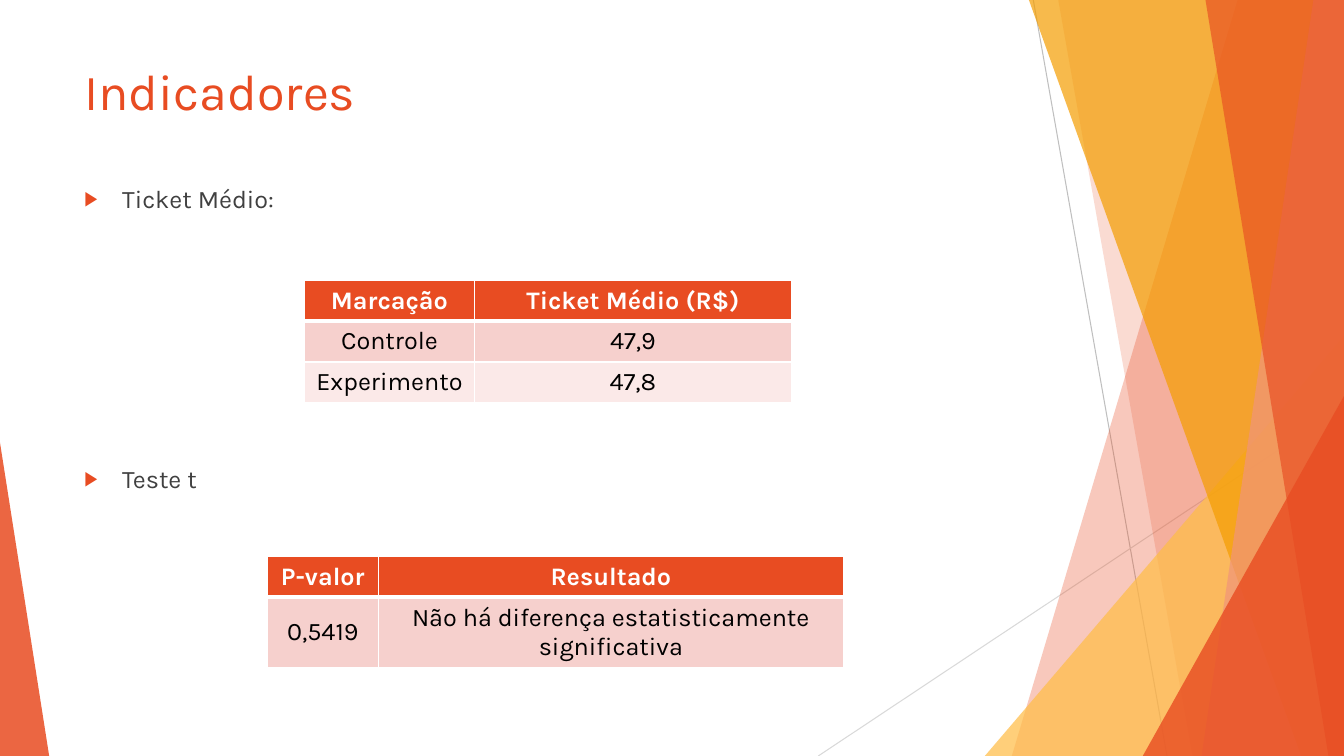
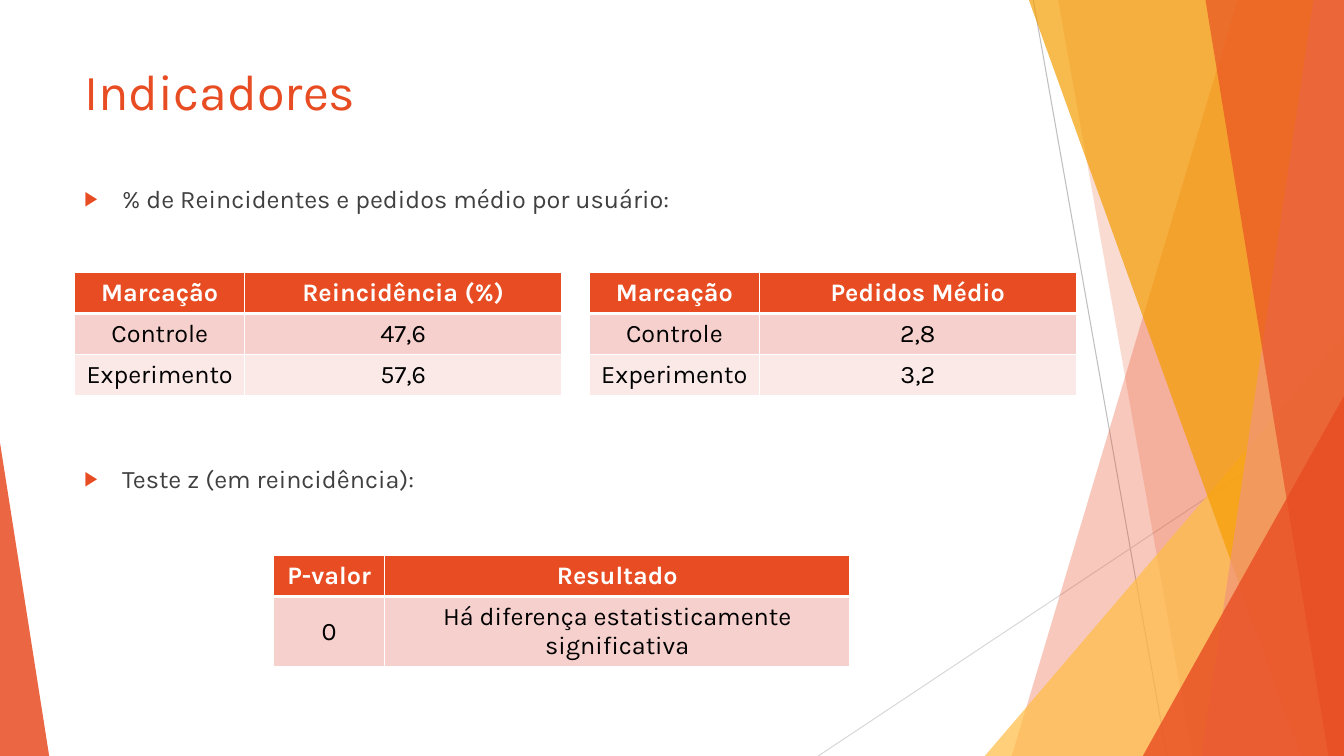
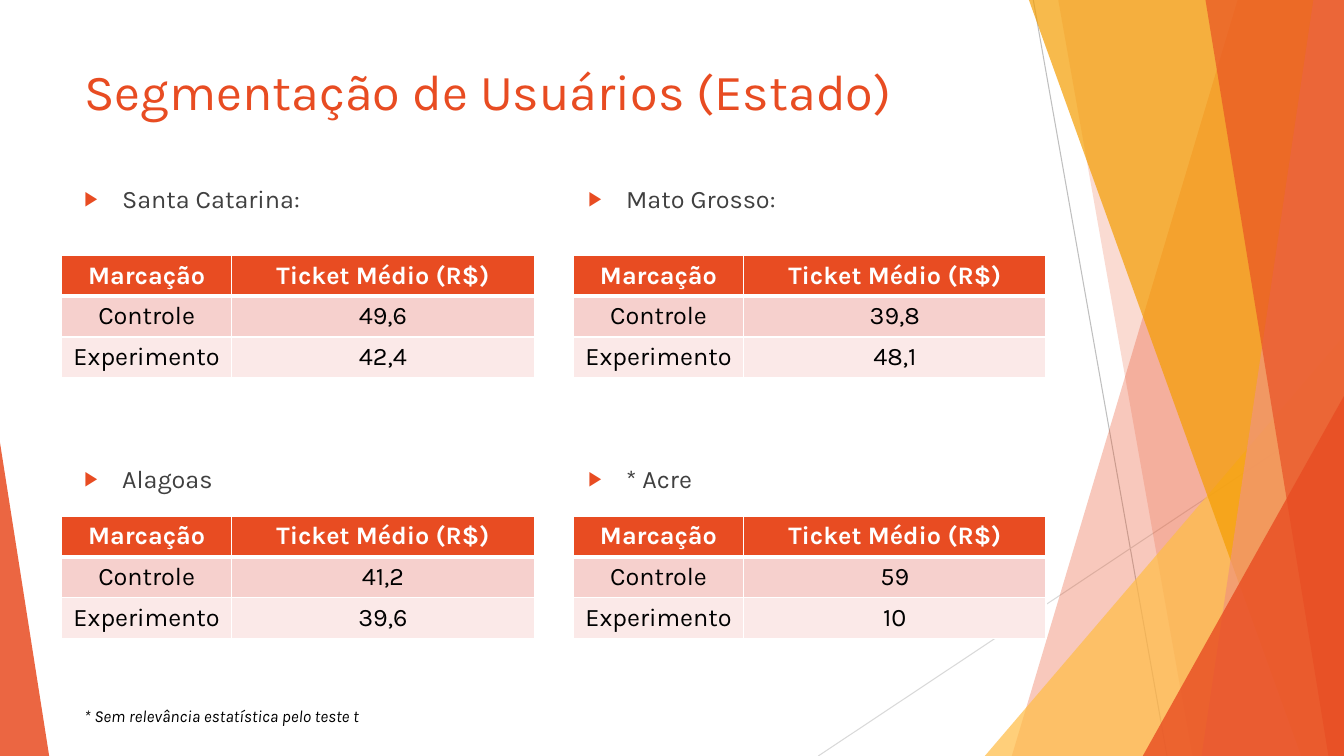
from lxml import etree
from pptx import Presentation
from pptx.dml.color import RGBColor
from pptx.enum.shapes import MSO_CONNECTOR, MSO_SHAPE
from pptx.enum.text import MSO_ANCHOR, PP_ALIGN
from pptx.oxml.ns import qn
from pptx.util import Cm, Pt

STRAIGHT = MSO_CONNECTOR.STRAIGHT
TRIANGLE = MSO_SHAPE.ISOSCELES_TRIANGLE
MIDDLE = MSO_ANCHOR.MIDDLE
CENTER = PP_ALIGN.CENTER


class Theme:
    font = "Karla"
    title_size, body_size, note_size = 36, 18, 12
    orange, amber, gold, salmon = "E84C22", "F49D00", "FFBD47", "F1947A"
    row_fills = (orange, "F6D0CD", "FBE9E8")
    text, black, white = "404040", "000000", "FFFFFF"
    dark_line, light_line = "BFBFBF", "D9D9D9"


WIDTH, HEIGHT = 33.87, 19.05
MARGIN, RIGHT_COLUMN = 1.88, 14.58
UPPER, LOWER = 4.5, 11.56
ROW_HEIGHT, TALL_ROW_HEIGHT = 1.03, 1.75

LINES = [
    (26.04, 0, 29.41, HEIGHT, Theme.dark_line),
    (WIDTH, 10.24, 20.62, HEIGHT, Theme.light_line),
]
FACETS = [
    ("band", 31.19, 25.5, Theme.orange, 30),
    ("band", 26.67, 30.05, Theme.orange, 20),
    ("triangle", (24.82, 8.46, WIDTH - 24.82), 1, Theme.gold, 72),
    ("band", 25.93, 32.79, Theme.amber, 70),
    ("band", 33.1, 30.28, Theme.salmon, 70),
    ("band", 30.38, 33.48, Theme.orange, 65),
    ("triangle", (28.8, 9.98, WIDTH - 28.8), 1, Theme.orange, 80),
    ("triangle", (0, 11.15, 1.24), 0, Theme.orange, 85),
]

GROUP_COLUMNS = (4.29, 7.98)
STATE_COLUMNS = (4.29, 7.62)
TEST_COLUMNS = (2.79, 11.73)
STATE_LEFTS, STATE_TOPS = (1.55, 14.45), (6.43, 13)
TICKET = "Ticket Médio (R$)"

SLIDES = [
    {
        "title": "Indicadores",
        "bullets": [
            ("Ticket Médio:", MARGIN, UPPER, 9.7, 1.75),
            ("Teste t", MARGIN, LOWER, 9.7, 1.75),
        ],
        "groups": [(7.67, 7.06, GROUP_COLUMNS, TICKET, "47,9", "47,8")],
        "tests": [(6.74, 14.02, "0,5419", "Não há diferença estatisticamente significativa")],
    },
    {
        "title": "Indicadores",
        "bullets": [
            ("% de Reincidentes e pedidos médio por usuário:", MARGIN, UPPER, 16.71, 1.75),
            ("Teste z (em reincidência):", MARGIN, LOWER, 9.7, 1.75),
        ],
        "groups": [
            (MARGIN, 6.87, GROUP_COLUMNS, "Reincidência (%)", "47,6", "57,6"),
            (14.85, 6.87, GROUP_COLUMNS, "Pedidos Médio", "2,8", "3,2"),
        ],
        "tests": [(6.9, 14, "0", "Há diferença estatisticamente significativa")],
    },
    {
        "title": "Segmentação de Usuários (Estado)",
        "bullets": [
            ("Santa Catarina:", MARGIN, UPPER, 6.1, 1.22),
            ("Mato Grosso:", RIGHT_COLUMN, UPPER, 6.1, 1.22),
            ("Alagoas", MARGIN, LOWER, 9.7, 1.75),
            ("* Acre", RIGHT_COLUMN, LOWER, 9.7, 1.75),
        ],
        "groups": [
            (STATE_LEFTS[index % 2], STATE_TOPS[index // 2], STATE_COLUMNS, TICKET, *values)
            for index, values in enumerate(
                [("49,6", "42,4"), ("39,8", "48,1"), ("41,2", "39,6"), ("59", "10")]
            )
        ],
        "tests": [],
        "note": "* Sem relevância estatística pelo teste t",
    },
]


def write_text(text_frame, text, size, color, bold=False, italic=False):
    text_frame.text = text
    paragraph = text_frame.paragraphs[0]
    font = paragraph.runs[0].font
    font.name, font.size = Theme.font, Pt(size)
    font.bold, font.italic = bold, italic
    font.color.rgb = RGBColor.from_string(color)
    return paragraph


def add_child(parent, tag, **attributes):
    return etree.SubElement(parent, qn(tag), attributes)


presentation = Presentation()
presentation.slide_width, presentation.slide_height = Cm(WIDTH), Cm(HEIGHT)

for content in SLIDES:
    slide = presentation.slides.add_slide(presentation.slide_layouts[6])
    shapes = slide.shapes

    for start_x, start_y, end_x, end_y, color in LINES:
        line = shapes.add_connector(STRAIGHT, Cm(start_x), Cm(start_y), Cm(end_x), Cm(end_y))
        line.line.color.rgb = RGBColor.from_string(color)
        line.line.width = Pt(0.75)
        add_child(line._element.spPr, "a:effectLst")

    for kind, place, slant, color, opacity in FACETS:
        if kind == "band":
            outline = shapes.build_freeform(Cm(place), 0)
            corners = [(WIDTH, 0), (WIDTH, HEIGHT), (slant, HEIGHT)]
            outline.add_line_segments([(Cm(x), Cm(y)) for x, y in corners])
            facet = outline.convert_to_shape()
        else:
            left, top, width = place
            facet = shapes.add_shape(TRIANGLE, Cm(left), Cm(top), Cm(width), Cm(HEIGHT - top))
            facet.adjustments[0] = slant
        facet.shadow.inherit = False
        facet.line.fill.background()
        facet.fill.solid()
        facet.fill.fore_color.rgb = RGBColor.from_string(color)
        color_element = facet._element.spPr.find(qn("a:solidFill"))[0]
        add_child(color_element, "a:alpha", val=str(opacity * 1000))

    title = shapes.add_textbox(Cm(MARGIN), Cm(1.4), Cm(23.88), Cm(2.49))
    title.text_frame.word_wrap = True
    write_text(title.text_frame, content["title"], Theme.title_size, Theme.orange)

    for text, left, top, width, height in content["bullets"]:
        bullet = shapes.add_textbox(Cm(left), Cm(top), Cm(width), Cm(height))
        bullet.text_frame.word_wrap = True
        paragraph = write_text(bullet.text_frame, text, Theme.body_size, Theme.text)
        paragraph.space_before = Pt(10)
        properties = paragraph._p.get_or_add_pPr()
        properties.set("marL", str(Cm(0.95)))
        properties.set("indent", str(-Cm(0.95)))
        add_child(add_child(properties, "a:buClr"), "a:srgbClr", val=Theme.orange)
        add_child(properties, "a:buSzPct", val="80000")
        add_child(properties, "a:buFont", typeface=Theme.font)
        add_child(properties, "a:buChar", char="▶")

    tables = [
        (left, top, columns, (ROW_HEIGHT,) * 3,
         [("Marcação", header), ("Controle", control), ("Experimento", experiment)])
        for left, top, columns, header, control, experiment in content["groups"]
    ] + [
        (left, top, TEST_COLUMNS, (ROW_HEIGHT, TALL_ROW_HEIGHT),
         [("P-valor", "Resultado"), (p_value, result)])
        for left, top, p_value, result in content["tests"]
    ]
    for left, top, columns, heights, rows in tables:
        table = shapes.add_table(
            len(rows), len(columns), Cm(left), Cm(top), Cm(sum(columns)), Cm(sum(heights))
        ).table
        table.horz_banding = False
        for column, width in zip(table.columns, columns):
            column.width = Cm(width)
        for row_index, values in enumerate(rows):
            table.rows[row_index].height = Cm(heights[row_index])
            is_header = row_index == 0
            for column_index, value in enumerate(values):
                cell = table.cell(row_index, column_index)
                color = Theme.white if is_header else Theme.black
                paragraph = write_text(
                    cell.text_frame, value, Theme.body_size, color, bold=is_header
                )
                paragraph.alignment = CENTER
                cell.vertical_anchor = MIDDLE
                properties = cell._tc.get_or_add_tcPr()
                for side in "LRTB":
                    thick = (is_header and side == "B") or (row_index == 1 and side == "T")
                    border = add_child(properties, f"a:ln{side}", w=str(Pt(3 if thick else 1)))
                    add_child(add_child(border, "a:solidFill"), "a:srgbClr", val=Theme.white)
                cell.fill.solid()
                cell.fill.fore_color.rgb = RGBColor.from_string(Theme.row_fills[row_index])

    if "note" in content:
        note = shapes.add_textbox(Cm(MARGIN), Cm(17.65), Cm(8.26), Cm(0.76))
        note.text_frame.word_wrap = False
        write_text(note.text_frame, content["note"], Theme.note_size, Theme.black, italic=True)

presentation.save("out.pptx")
